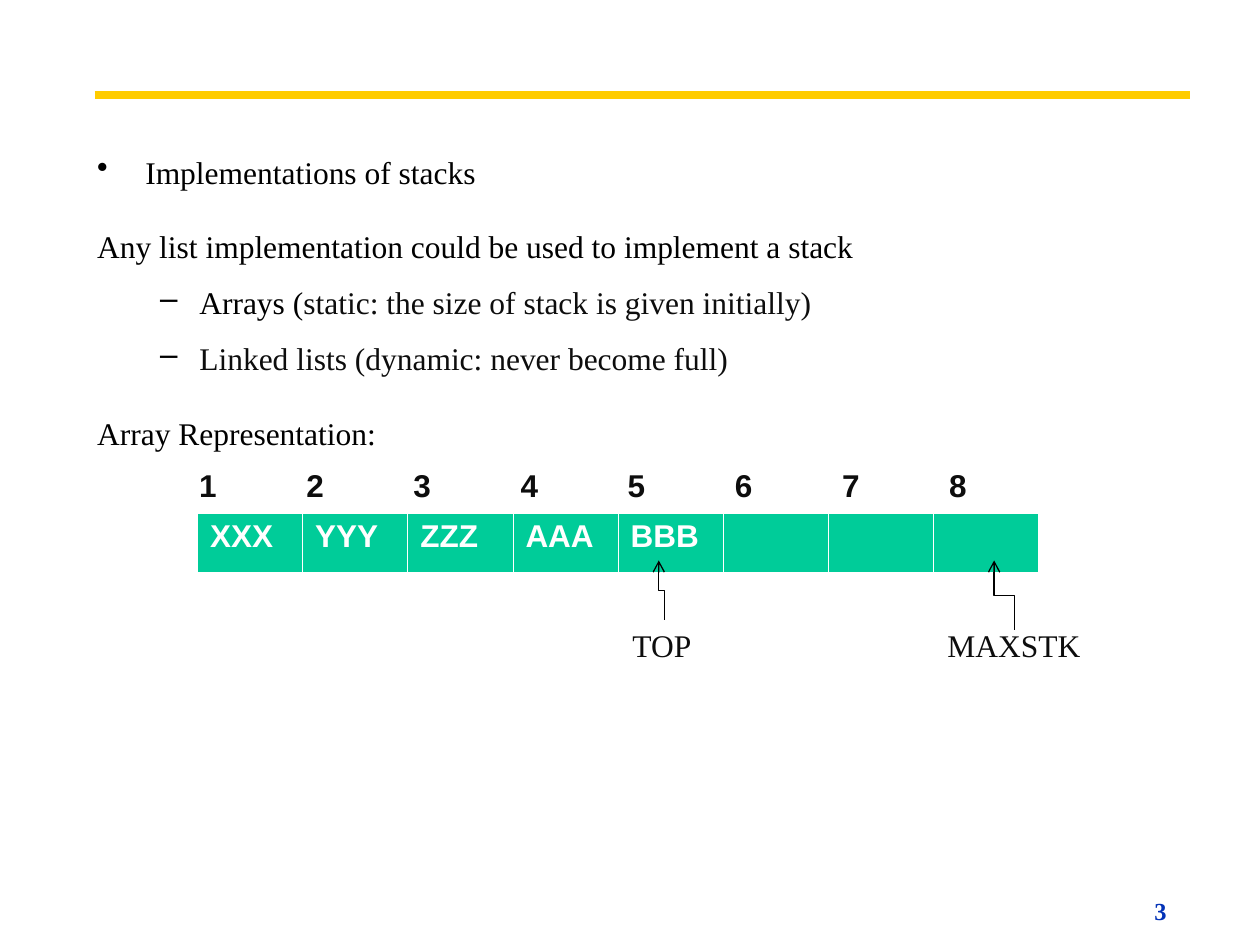
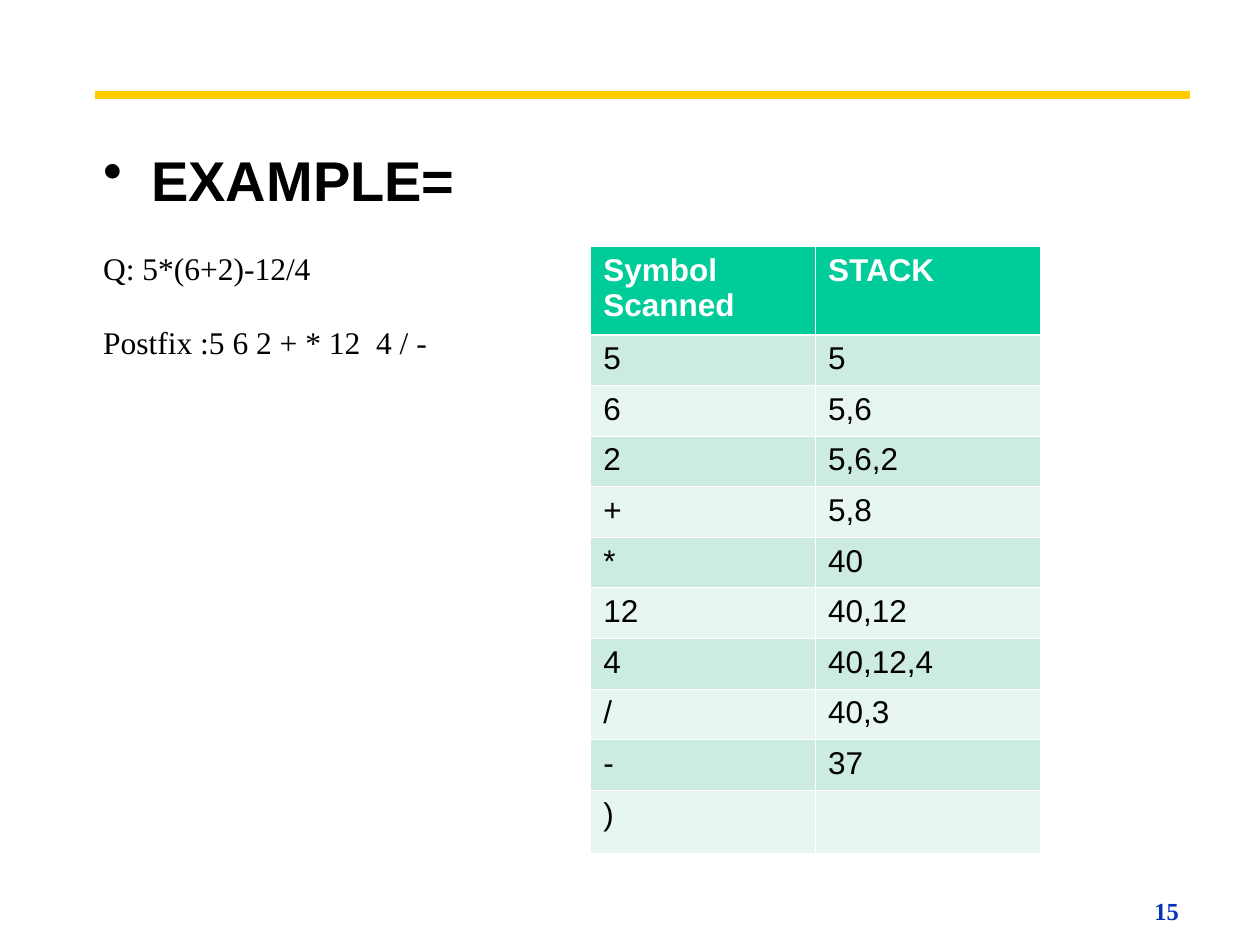
import dataclasses
import pptx
import pptx.dml.color
import pptx.enum.shapes
import pptx.enum.text
import pptx.oxml
import pptx.oxml.ns
import pptx.util
import lxml.etree

Cm = pptx.util.Cm
Pt = pptx.util.Pt
qn = pptx.oxml.ns.qn


@dataclasses.dataclass(frozen=True)
class Theme:
    black: str = "000000"
    ink: str = "0D0D0D"
    white: str = "FFFFFF"
    gold: str = "FFCC00"
    blue: str = "0332B7"
    green: str = "00CC99"
    band_dark: str = "CBECDE"
    band_light: str = "E7F6EF"
    serif: str = "Times New Roman"
    sans: str = "Arial"
    heading_size: int = 32
    text_size: int = 18
    number_size: int = 14
    rule_width: float = 4.5
    arrow_width: float = 0.75
    border_width: float = 0.45
    heavy_border_width: float = 1.5


THEME = Theme()


def rgb(color):
    return pptx.dml.color.RGBColor.from_string(color)


def write(para, text, font=THEME.serif, size=THEME.text_size, color=THEME.black, bold=False):
    span = para.add_run()
    span.text = text
    span.font.name = font
    span.font.size = Pt(size)
    span.font.bold = bold
    span.font.color.rgb = rgb(color)
    return span


class Page:
    def __init__(self, deck, number, theme=THEME):
        self.theme = theme
        self.slide = deck.slides.add_slide(deck.slide_layouts[6])
        frame = self.frame(23.09, 17.98, 2.31, 0.74)
        write(frame.paragraphs[0], str(number), size=theme.number_size, color=theme.blue, bold=True)
        self.line("STRAIGHT", (1.91, 1.91), (23.98, 1.91), theme.gold, theme.rule_width)

    def frame(self, left, top, width, height, inset_x=0.18, inset_y=0.08):
        box = self.slide.shapes.add_textbox(Cm(left), Cm(top), Cm(width), Cm(height))
        frame = box.text_frame
        frame.word_wrap = True
        frame.vertical_anchor = pptx.enum.text.MSO_ANCHOR.TOP
        frame.margin_left = frame.margin_right = Cm(inset_x)
        frame.margin_top = frame.margin_bottom = Cm(inset_y)
        return frame

    def label(self, text, left, top, width):
        frame = self.frame(left, top, width, 1.02, 0.25, 0.13)
        write(frame.paragraphs[0], text, color=self.theme.ink)

    def body(self, left):
        return self.frame(left, 3.18, 21.79, 10.08)

    def paragraph(self, frame, bullet=None, level=0):
        para = frame.paragraphs[0]
        if para.runs:
            para = frame.add_paragraph()
        para.level = level
        para.line_spacing = 0.85 if level else 0.75
        para.space_before = Pt(14 if level else 26)
        margin, hanging = (2.06, 0.79) if level else (0.97, 0.97)
        properties = para._p.get_or_add_pPr()
        properties.set("marL", str(Cm(margin)))
        properties.set("indent", str(-Cm(hanging)))
        if bullet:
            bullet_color = lxml.etree.SubElement(properties, qn("a:buClr"))
            lxml.etree.SubElement(bullet_color, qn("a:srgbClr"), val=self.theme.black)
            lxml.etree.SubElement(properties, qn("a:buChar"), char=bullet)
        else:
            lxml.etree.SubElement(properties, qn("a:buNone"))
        return para

    def line(self, kind, start, end, color, width):
        connector = self.slide.shapes.add_connector(
            pptx.enum.shapes.MSO_CONNECTOR[kind], *map(Cm, start + end))
        connector.line.color.rgb = rgb(color)
        connector.line.width = Pt(width)
        lxml.etree.SubElement(connector._element.spPr, qn("a:effectLst"))
        return connector

    def upward_arrow(self, start, end):
        middle_x, middle_y = (start[0] + end[0]) / 2, (start[1] + end[1]) / 2
        half_length, half_shift = (start[1] - end[1]) / 2, (start[0] - end[0]) / 2
        connector = self.line(
            "ELBOW",
            (middle_x - half_length, middle_y + half_shift),
            (middle_x + half_length, middle_y - half_shift),
            self.theme.black, self.theme.arrow_width)
        connector._element.spPr.find(qn("a:xfrm")).set("rot", "16200000")
        outline = connector.line._get_or_add_ln()
        lxml.etree.SubElement(outline, qn("a:tailEnd"), type="arrow")

    def borders(self, cell, heavy_side):
        properties = cell._tc.get_or_add_tcPr()
        for side in "LRTB":
            width = self.theme.heavy_border_width if side == heavy_side else self.theme.border_width
            edge = lxml.etree.SubElement(properties, qn("a:ln" + side), w=str(Pt(width)))
            fill = lxml.etree.SubElement(edge, qn("a:solidFill"))
            lxml.etree.SubElement(fill, qn("a:srgbClr"), val=self.theme.white)

    def table(self, rows, left, top, column_width, heights, header_fill, header_color):
        columns = len(rows[0])
        table = self.slide.shapes.add_table(
            len(rows), columns, Cm(left), Cm(top),
            Cm(column_width * columns), Cm(sum(heights))).table
        table.first_row = table.horz_banding = False
        for column in table.columns:
            column.width = Cm(column_width)
        fills = (self.theme.band_light, self.theme.band_dark)
        for index, (texts, height) in enumerate(zip(rows, heights)):
            header = index == 0
            table.rows[index].height = Cm(height)
            for column, text in enumerate(texts):
                cell = table.cell(index, column)
                self.borders(cell, {0: "B", 1: "T"}.get(index))
                cell.fill.solid()
                cell.fill.fore_color.rgb = rgb(header_fill if header else fills[index % 2])
                if text:
                    write(cell.text_frame.paragraphs[0], text, font=self.theme.sans,
                          color=header_color if header else self.theme.black, bold=header)


def array_page(deck):
    page = Page(deck, 3)
    body = page.body(1.78)
    write(page.paragraph(body, "•"), "Implementations of stacks")
    write(page.paragraph(body), "Any list implementation could be used to implement a stack")
    arrays = page.paragraph(body, "–", 1)
    write(arrays, "Arrays (")
    write(arrays, "static: the size of stack is given initially)", color=THEME.ink)
    write(page.paragraph(body, "–", 1), "Linked lists (dynamic: never become full)", color=THEME.ink)
    write(page.paragraph(body), "Array Representation:")

    values = ["XXX", "YYY", "ZZZ", "AAA", "BBB", "", "", ""]
    page.table([values], 3.98, 10.34, 2.12, [1.21], THEME.green, THEME.white)
    page.label("TOP", 12.5, 12.5, 1.78)
    page.label("MAXSTK", 18.85, 12.5, 3.76)
    page.upward_arrow((13.39, 12.5), (13.28, 11.3))
    page.upward_arrow((20.45, 12.7), (20.04, 11.3))
    positions = [str(position) for position in range(1, len(values) + 1)]
    page.table([positions], 3.76, 9.32, 2.16, [1.02], THEME.white, THEME.ink)


def example_page(deck):
    page = Page(deck, 15)
    body = page.body(1.9)
    write(page.paragraph(body, "•"), "EXAMPLE=", font=THEME.sans,
          size=THEME.heading_size, bold=True)
    for text in ("Q: 5*(6+2)-12/4", "Postfix :5 6 2 + * 12  4 / -"):
        write(page.paragraph(body), text)

    steps = [
        ("Symbol Scanned", "STACK"),
        ("5", "5"),
        ("6", "5,6"),
        ("2", "5,6,2"),
        ("+", "5,8"),
        ("*", "40"),
        ("12", "40,12"),
        ("4", "40,12,4"),
        ("/", "40,3"),
        ("-", "37"),
        (")", ""),
    ]
    heights = [1.76] + [1.02] * (len(steps) - 2) + [1.27]
    page.table(steps, 11.91, 4.97, 4.53, heights, THEME.green, THEME.white)


deck = pptx.Presentation()
deck.slide_width, deck.slide_height = Cm(25.4), Cm(19.05)
array_page(deck)
example_page(deck)
deck.save("out.pptx")
